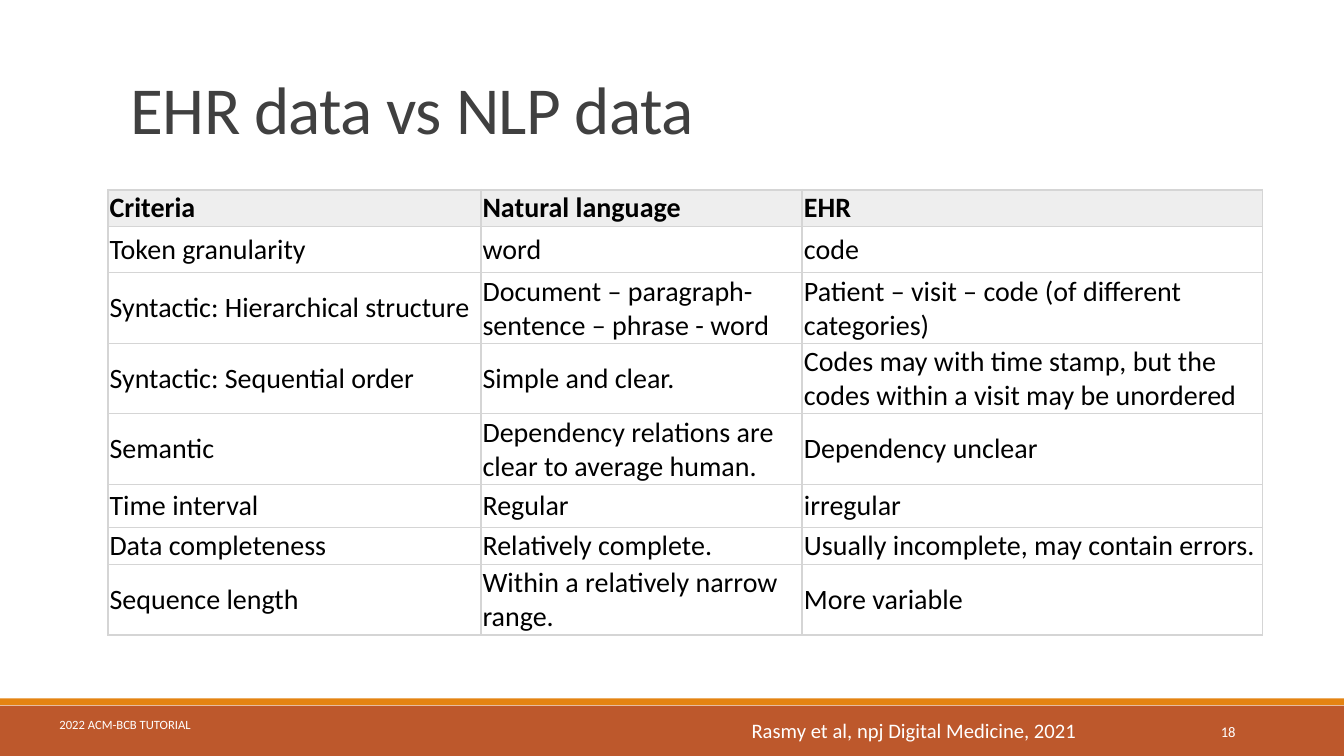
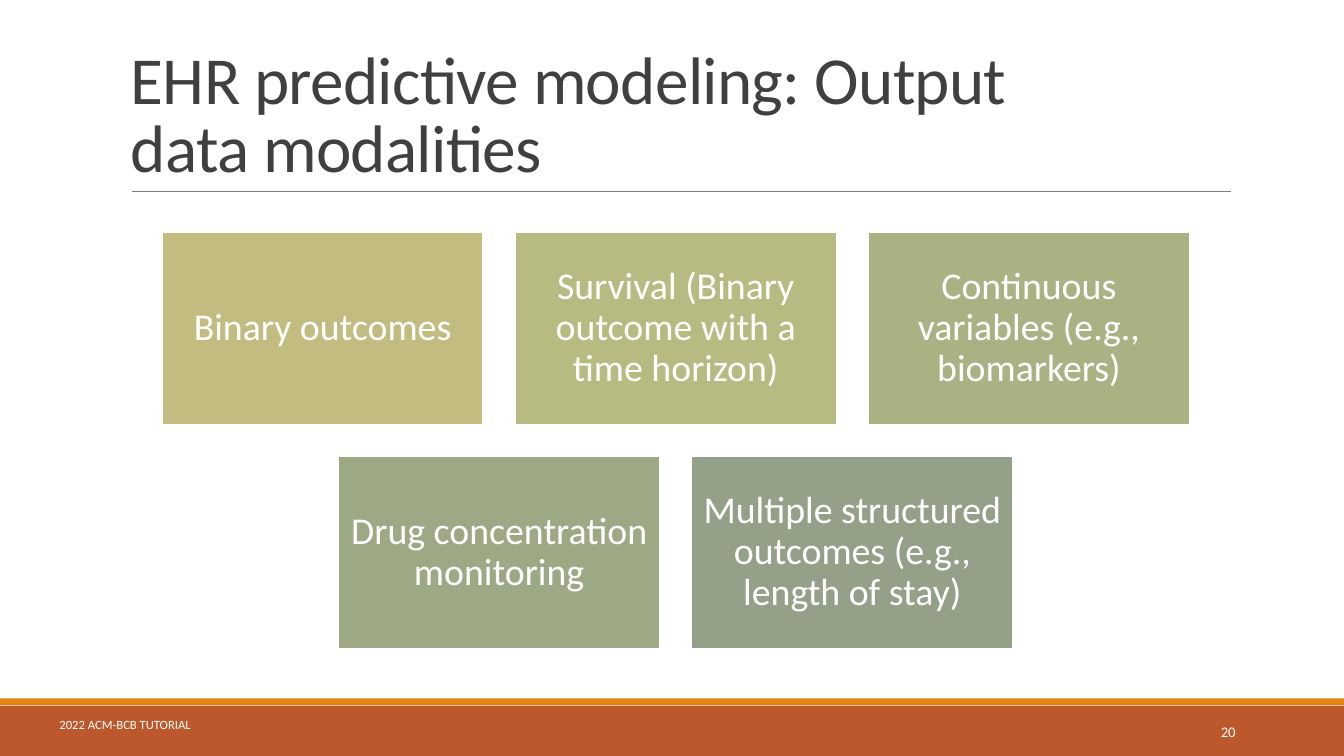
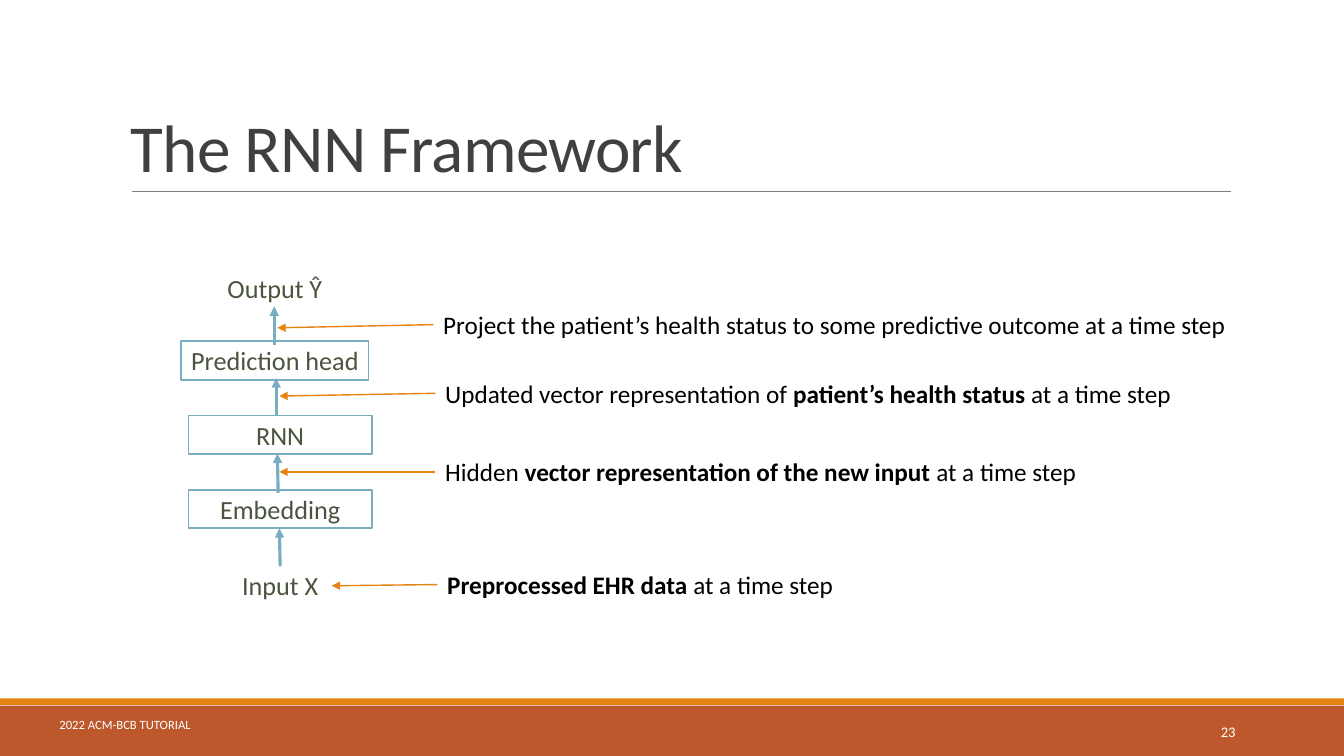
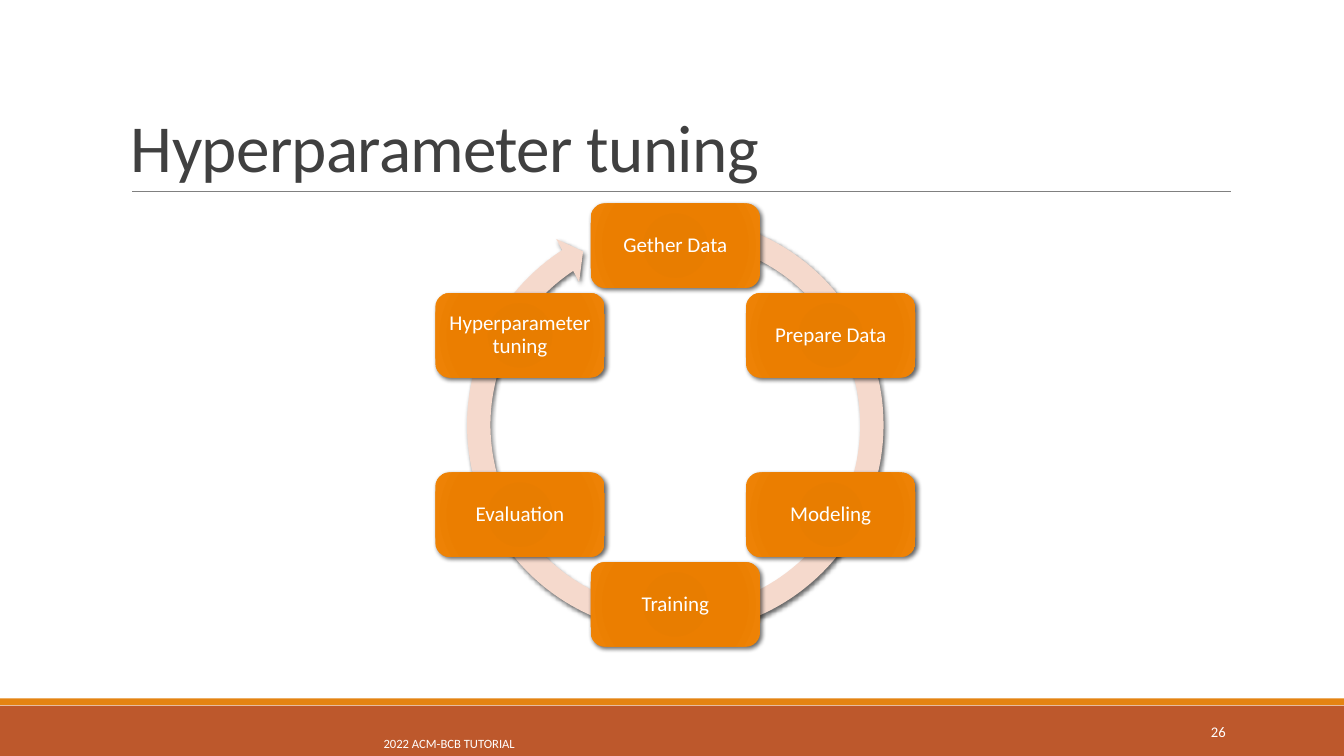
from dataclasses import dataclass, replace
from math import cos, radians, sin
from typing import Optional, Sequence

from lxml.etree import SubElement
from pptx import Presentation
from pptx.dml.color import RGBColor
from pptx.enum.shapes import MSO_CONNECTOR, MSO_SHAPE
from pptx.enum.text import MSO_ANCHOR, PP_ALIGN
from pptx.oxml import parse_xml
from pptx.oxml.ns import nsdecls, qn
from pptx.shapes.autoshape import Shape
from pptx.shapes.connector import Connector
from pptx.slide import Slide
from pptx.table import _Cell
from pptx.text.text import TextFrame
from pptx.util import Cm, Pt


# ---- Theme and text styles ----
@dataclass(frozen=True)
class Theme:
    font: str = "Calibri"
    white: str = "FFFFFF"
    black: str = "000000"
    band: str = "BD582C"
    accent: str = "E48312"
    rule: str = "808080"
    title: str = "404040"
    grid: str = "D5D5D5"
    header: str = "EEEEEE"
    flow: str = "78AEBF"
    flow_text: str = "4A543E"
    ring: str = "F5D9CC"
    tiles: tuple = ("C2BC80", "B7BA81", "A8B283", "9DA985", "94A088")
    glow: tuple = ((0, "E57B00"), (34, "E87D00"), (70, "EB7E00"), (100, "EF8407"))
    title_pt: float = 48
    tile_pt: float = 27
    table_pt: float = 20
    flow_pt: float = 18.7
    note_pt: float = 18
    cycle_pt: float = 15
    cite_pt: float = 14.7
    number_pt: float = 10.5
    footer_pt: float = 9


T = Theme()


@dataclass(frozen=True)
class Style:
    size: float
    color: str
    align: PP_ALIGN = PP_ALIGN.LEFT
    anchor: MSO_ANCHOR = MSO_ANCHOR.MIDDLE
    margins: tuple = (0.25, 0.13)
    leading: Optional[float] = None
    tracking: Optional[int] = None
    wrap: bool = True


TITLE = Style(T.title_pt, T.title, anchor=MSO_ANCHOR.BOTTOM, leading=0.85, tracking=-50)
TILE = Style(T.tile_pt, T.white, PP_ALIGN.CENTER, margins=(0.27, 0.27), leading=0.9)
FLOW = Style(T.flow_pt, T.flow_text, PP_ALIGN.CENTER, margins=(0.1, 0.13))
NOTE = Style(T.note_pt, T.black, anchor=MSO_ANCHOR.TOP, wrap=False)
CITE = replace(NOTE, size=T.cite_pt, color=T.white)
CYCLE = Style(T.cycle_pt, T.white, PP_ALIGN.CENTER, margins=(0.25, 0.25), leading=0.9)
NUMBER = Style(T.number_pt, T.white, PP_ALIGN.RIGHT, margins=(0, 0))
FOOTER = Style(T.footer_pt, T.white, margins=(0, 0))
CELL = Style(T.table_pt, T.black)


# ---- Slide parts, lengths in centimetres ----
@dataclass(frozen=True)
class Box:
    x: float
    y: float
    w: float
    h: float


@dataclass(frozen=True)
class Run:
    text: str
    bold: bool = False


@dataclass(frozen=True)
class Arrow:
    x1: float
    y1: float
    x2: float
    y2: float


@dataclass(frozen=True)
class FlowNode:
    text: str
    box: Box
    framed: bool = True


@dataclass(frozen=True)
class Note:
    box: Box
    runs: tuple
    arrow: Arrow


SLIDE_W, SLIDE_H = 33.87, 19.05
FOOTER_TEXT = "2022 ACM-BCB TUTORIAL"
FOOTER_BOX = Box(1.5, 18.06, 18.62, 0.38)
NUMBER_BOX = Box(27.51, 17.93, 3.63, 1.02)


# ---- Drawing helpers ----
def rgb(color: str) -> RGBColor:
    return RGBColor.from_string(color)


def place(box: Box) -> tuple:
    return Cm(box.x), Cm(box.y), Cm(box.w), Cm(box.h)


def write(tf: TextFrame, runs: Sequence[Run], st: Style) -> None:
    p = tf.paragraphs[0]
    p.alignment = st.align
    if st.leading:
        p.line_spacing = st.leading
    for run in runs:
        r = p.add_run()
        r.text = run.text
        r.font.name, r.font.size, r.font.bold = T.font, Pt(st.size), run.bold
        r.font.color.rgb = rgb(st.color)
        if st.tracking:
            r.font._element.set("spc", str(st.tracking))


def fill_frame(tf: TextFrame, runs: Sequence[Run], st: Style) -> None:
    tf.word_wrap = st.wrap
    tf.vertical_anchor = st.anchor
    tf.margin_left = tf.margin_right = Cm(st.margins[0])
    tf.margin_top = tf.margin_bottom = Cm(st.margins[1])
    write(tf, runs, st)


def add_text(s: Slide, box: Box, runs: Sequence[Run], st: Style) -> None:
    fill_frame(s.shapes.add_textbox(*place(box)).text_frame, runs, st)


def add_block(s: Slide, kind: MSO_SHAPE, box: Box, fill: Optional[str] = None,
              line: Optional[str] = None) -> Shape:
    sp = s.shapes.add_shape(kind, *place(box))
    sp.shadow.inherit = False
    if fill:
        sp.fill.solid()
        sp.fill.fore_color.rgb = rgb(fill)
    else:
        sp.fill.background()
    if line:
        sp.line.color.rgb = rgb(line)
        sp.line.width = Pt(1.25)
    else:
        sp.line.fill.background()
    return sp


def add_line(s: Slide, a: Arrow, color: str, width: float, head: bool = True) -> Connector:
    c = s.shapes.add_connector(MSO_CONNECTOR.STRAIGHT, Cm(a.x1), Cm(a.y1), Cm(a.x2), Cm(a.y2))
    c.line.color.rgb = rgb(color)
    c.line.width = Pt(width)
    if head:
        SubElement(c.line._get_or_add_ln(), qn("a:tailEnd"), type="triangle")
    SubElement(c._element.spPr, qn("a:effectLst"))
    return c


def add_shadow(sp: Shape, blur: float) -> None:
    effects = sp._element.spPr.find(qn("a:effectLst"))
    shadow = SubElement(effects, qn("a:outerShdw"), blurRad=str(int(Pt(blur))),
                        dist=str(int(Pt(2))), dir=str(45 * 60000), rotWithShape="0")
    color = SubElement(shadow, qn("a:srgbClr"), val=T.black)
    SubElement(color, qn("a:alpha"), val="60000")


def add_glow(sp: Shape) -> None:
    stops = "".join(f'<a:gs pos="{pos * 1000}"><a:srgbClr val="{color}"/></a:gs>'
                    for pos, color in T.glow)
    grad = parse_xml(
        f'<a:gradFill {nsdecls("a")} rotWithShape="1"><a:gsLst>{stops}</a:gsLst>'
        '<a:path path="circle"><a:fillToRect l="100000" t="100000" r="100000" b="100000"/>'
        '</a:path></a:gradFill>')
    spPr = sp._element.spPr
    spPr.replace(spPr.find(qn("a:solidFill")), grad)


def set_borders(cell: _Cell, widths: dict) -> None:
    tcPr = cell._tc.get_or_add_tcPr()
    for i, (side, width) in enumerate(widths.items()):
        tcPr.insert(i, parse_xml(
            f'<a:ln{side} {nsdecls("a")} w="{int(Pt(width))}"><a:solidFill>'
            f'<a:srgbClr val="{T.grid}"/></a:solidFill></a:ln{side}>'))


def new_slide(prs: Presentation, title: str, number: int, title_h: float = 4.04,
              footer_box: Box = FOOTER_BOX, footer: Style = FOOTER,
              number_style: Style = NUMBER) -> Slide:
    s = prs.slides.add_slide(prs.slide_layouts[6])
    add_block(s, MSO_SHAPE.RECTANGLE, Box(0, 17.78, SLIDE_W, 1.27), T.band)
    add_block(s, MSO_SHAPE.RECTANGLE, Box(0, 17.6, SLIDE_W, 0.17), T.accent)
    add_line(s, Arrow(3.33, 4.82, 31.01, 4.82), T.rule, 0.5, head=False)
    add_text(s, Box(3.05, 0.79, 27.94, title_h), [Run(title)], TITLE)
    add_text(s, NUMBER_BOX, [Run(str(number))], number_style)
    add_text(s, footer_box, [Run(FOOTER_TEXT)], footer)
    return s


# ---- Slide: comparison table ----
COL_WIDTHS = (9.4, 8.1, 11.6)
ROW_HEIGHTS = (0.9, 1.17, 1.75, 1.75, 1.75, 1.09, 0.9, 1.75)
CRITERIA = (
    ("Criteria", "Natural language", "EHR"),
    ("Token granularity", "word", "code"),
    ("Syntactic: Hierarchical structure", "Document – paragraph- sentence – phrase - word",
     "Patient – visit – code (of different categories)"),
    ("Syntactic: Sequential order", "Simple and clear.",
     "Codes may with time stamp, but the codes within a visit may be unordered"),
    ("Semantic", "Dependency relations are clear to average human.", "Dependency unclear"),
    ("Time interval", "Regular", "irregular"),
    ("Data completeness", "Relatively complete.", "Usually incomplete, may contain errors."),
    ("Sequence length", "Within a relatively narrow range.", "More variable"),
)


def comparison_slide(prs: Presentation) -> None:
    s = new_slide(prs, "EHR data vs NLP data", 18, title_h=3.07)
    last_row, last_col = len(CRITERIA) - 1, len(COL_WIDTHS) - 1
    box = Box(2.72, 4.78, sum(COL_WIDTHS), sum(ROW_HEIGHTS))
    table = s.shapes.add_table(last_row + 1, last_col + 1, *place(box)).table
    table.first_row = table.horz_banding = False
    for col, width in zip(table.columns, COL_WIDTHS):
        col.width = Cm(width)
    for i, (row, height) in enumerate(zip(table.rows, ROW_HEIGHTS)):
        row.height = Cm(height)
        for j, cell in enumerate(row.cells):
            cell.margin_left = cell.margin_right = Cm(0.04)
            cell.margin_top = cell.margin_bottom = Cm(0.04)
            if i == 0:
                cell.fill.solid()
                cell.fill.fore_color.rgb = rgb(T.header)
            else:
                cell.fill.background()
                cell.vertical_anchor = MSO_ANCHOR.MIDDLE
            write(cell.text_frame, [Run(CRITERIA[i][j], bold=i == 0)], CELL)
            set_borders(cell, {"L": 1.5, "R": 0.75 if j == last_col else 1.5,
                               "T": 1.5 if i == 0 else 0.75,
                               "B": 1.5 if i == last_row else 0.75})
    add_text(s, Box(18.69, 17.96, 8.71, 0.89),
             [Run("Rasmy et al, npj Digital Medicine, 2021")], CITE)


# ---- Slide: output tiles ----
NBSP = chr(160)
TILE_ROWS = (
    ("Binary outcomes", "Survival (Binary outcome with a time horizon)",
     "Continuous variables (e.g., biomarkers)"),
    ("Drug concentration monitoring", "Multiple structured outcomes (e.g., length of stay)"),
)


def modalities_slide(prs: Presentation) -> None:
    s = new_slide(prs, f"EHR predictive modeling: Output data{NBSP}modalities", 20)
    w, h, gap, center, top = 8.1, 4.85, 0.8, 17.03, 5.85
    colors = iter(T.tiles)
    for i, texts in enumerate(TILE_ROWS):
        left = center - (len(texts) * (w + gap) - gap) / 2
        for j, text in enumerate(texts):
            box = Box(left + j * (w + gap), top + i * (h + gap), w, h)
            sp = add_block(s, MSO_SHAPE.RECTANGLE, box, next(colors), T.white)
            fill_frame(sp.text_frame, [Run(text)], TILE)


# ---- Slide: RNN flow ----
FLOW_NODES = (
    FlowNode("Embedding", Box(4.75, 12.34, 4.62, 0.97)),
    FlowNode("RNN", Box(4.75, 10.47, 4.62, 0.97)),
    FlowNode("Prediction head", Box(4.57, 8.6, 4.72, 0.97)),
    FlowNode("Input X", Box(4.7, 14.27, 4.72, 0.97), framed=False),
    FlowNode("Output Ŷ", Box(4.62, 6.78, 4.62, 0.97), framed=False),
)
FLOW_ARROWS = (
    Arrow(7.06, 14.27, 7.04, 13.31),
    Arrow(7.01, 12.42, 6.99, 11.43),
    Arrow(6.96, 10.49, 6.96, 9.53),
    Arrow(6.91, 8.69, 6.91, 7.72),
)
STEP = "at a time step"
NOTES = (
    Note(Box(11.02, 14.22, 10.24, 1.02), (Run("Preprocessed EHR data ", True), Run(STEP)),
         Arrow(11.02, 14.73, 8.36, 14.76)),
    Note(Box(10.97, 11.38, 16.56, 1.02),
         (Run("Hidden "), Run("vector representation of the new input ", True), Run(STEP)),
         Arrow(10.97, 11.89, 7.04, 11.89)),
    Note(Box(10.97, 9.4, 19, 1.02),
         (Run("Updated vector representation of "), Run("patient’s health status ", True),
          Run(STEP)),
         Arrow(10.97, 9.91, 7.04, 9.98)),
    Note(Box(10.92, 7.67, 20.7, 1.02),
         (Run("Project the patient’s health status to some predictive outcome " + STEP),),
         Arrow(10.92, 8.18, 6.99, 8.26)),
)


def rnn_slide(prs: Presentation) -> None:
    s = new_slide(prs, "The RNN Framework", 23)
    for node in FLOW_NODES:
        if node.framed:
            sp = add_block(s, MSO_SHAPE.RECTANGLE, node.box, line=T.flow)
            fill_frame(sp.text_frame, [Run(node.text)], FLOW)
        else:
            add_text(s, node.box, [Run(node.text)], FLOW)
    for arrow in FLOW_ARROWS:
        add_line(s, arrow, T.flow, 2.25)
    for note in NOTES:
        add_text(s, note.box, note.runs, NOTE)
        add_line(s, note.arrow, T.accent, 1)


# ---- Slide: tuning cycle ----
CYCLE_STEPS = ("Gether Data", "Prepare Data", "Modeling", "Training", "Evaluation",
               "Hyperparameter tuning")
RING_ADJUSTMENTS = (0.053, 3.126, 142.085, 171.385, 0.055)


def tuning_slide(prs: Presentation) -> None:
    s = new_slide(prs, "Hyperparameter tuning", 26,
                  footer_box=Box(2.01, 18.54, 18.62, 0.38),
                  footer=replace(FOOTER, align=PP_ALIGN.CENTER),
                  number_style=replace(NUMBER, margins=(0.25, 0.13)))
    cx, cy, radius, ring, w, h = 17.02, 10.71, 4.52, 11.13, 4.27, 2.13
    sp = add_block(s, MSO_SHAPE.CIRCULAR_ARROW,
                   Box(cx - ring / 2, cy - ring / 2, ring, ring), T.ring)
    for i, value in enumerate(RING_ADJUSTMENTS):
        sp.adjustments[i] = value
    add_shadow(sp, 3)
    for i, text in enumerate(CYCLE_STEPS):
        angle = radians(360 / len(CYCLE_STEPS) * i - 90)
        box = Box(cx + radius * cos(angle) - w / 2, cy + radius * sin(angle) - h / 2, w, h)
        sp = add_block(s, MSO_SHAPE.ROUNDED_RECTANGLE, box, T.accent)
        add_glow(sp)
        add_shadow(sp, 3.5)
        fill_frame(sp.text_frame, [Run(text)], CYCLE)


def main() -> None:
    prs = Presentation()
    prs.slide_width, prs.slide_height = Cm(SLIDE_W), Cm(SLIDE_H)
    for build in (comparison_slide, modalities_slide, rnn_slide, tuning_slide):
        build(prs)
    prs.save("out.pptx")


if __name__ == "__main__":
    main()
